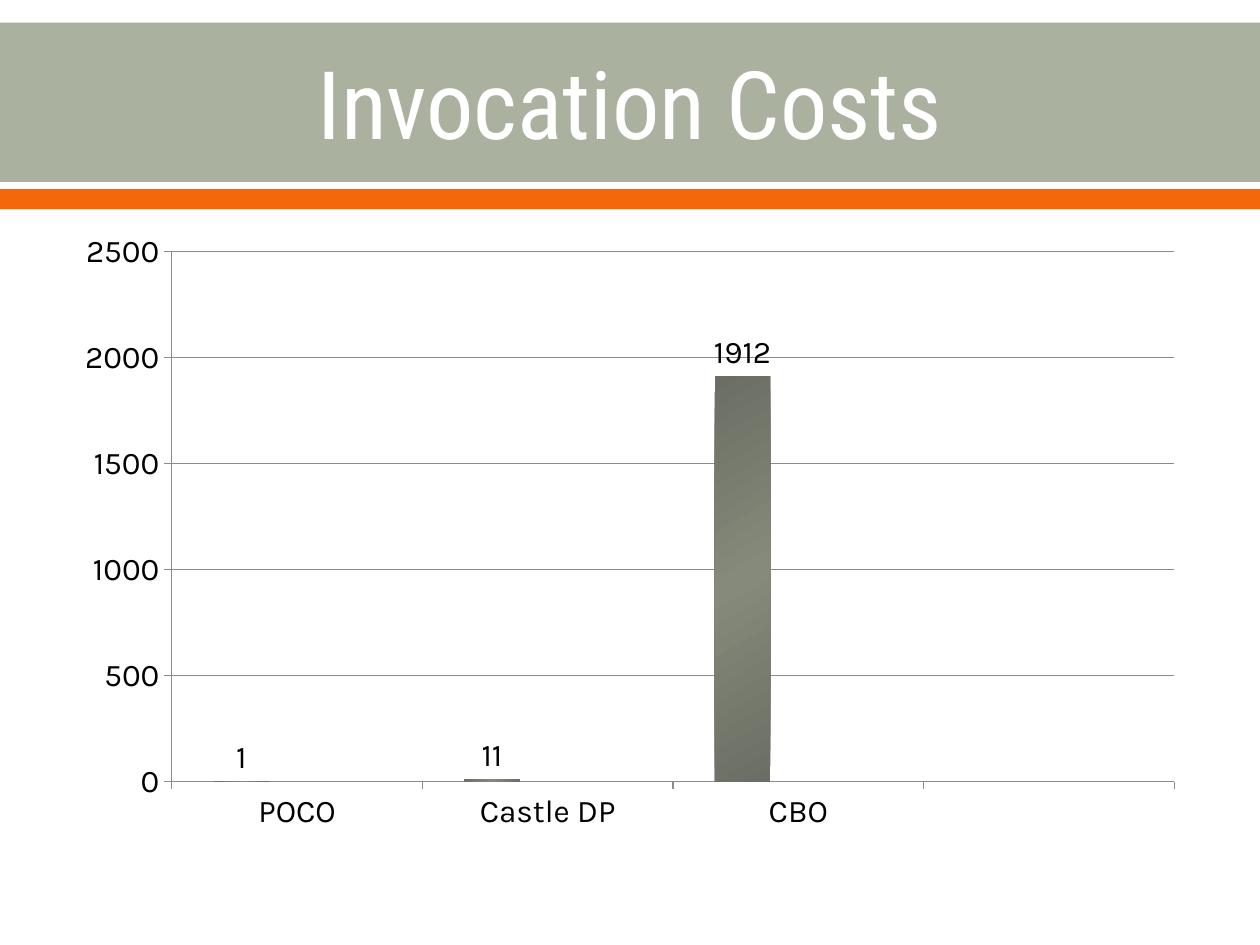
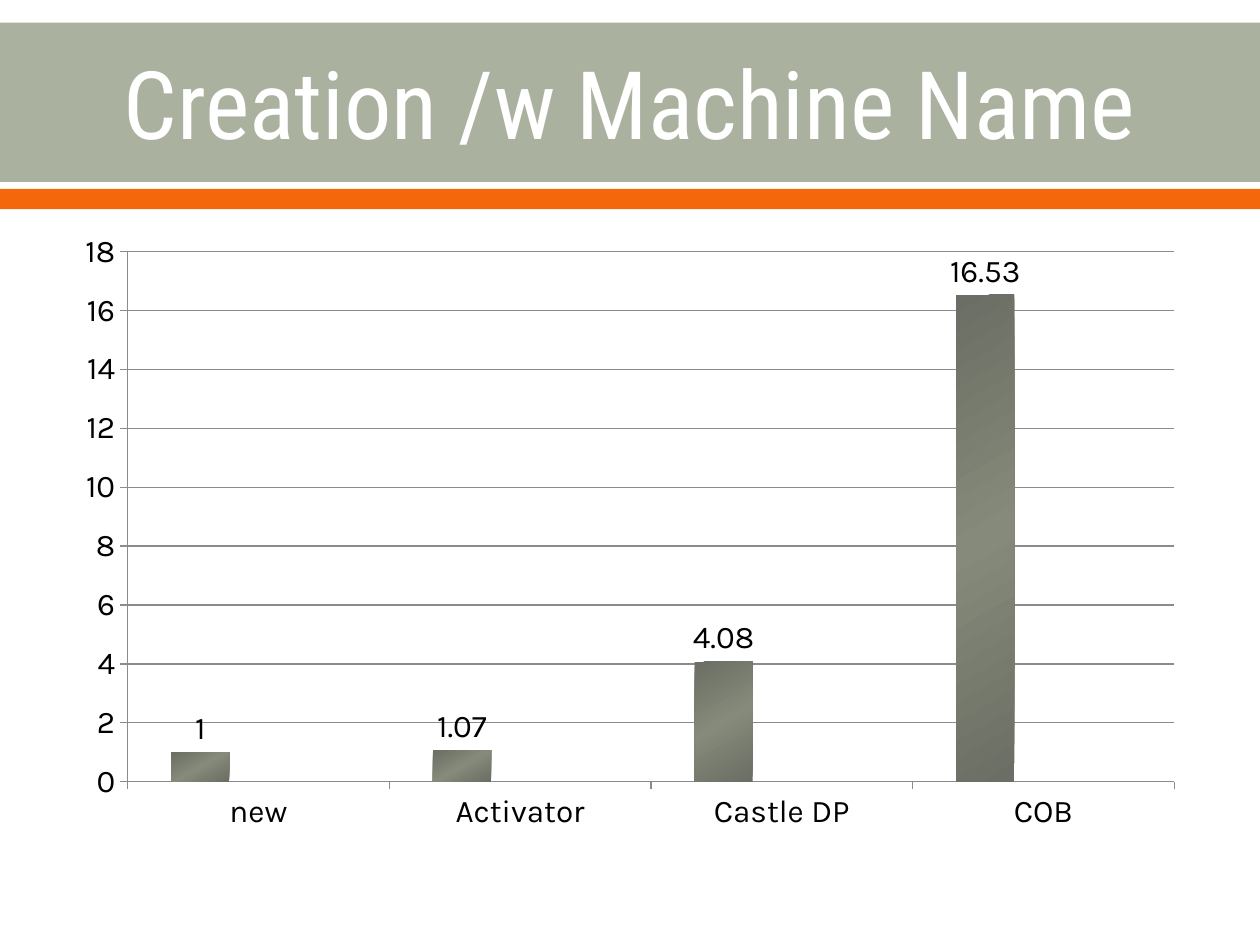
from pptx import Presentation
from pptx.chart.data import CategoryChartData
from pptx.dml.color import RGBColor
from pptx.enum.chart import XL_CHART_TYPE, XL_LABEL_POSITION, XL_TICK_MARK
from pptx.enum.shapes import MSO_SHAPE
from pptx.enum.text import MSO_ANCHOR, PP_ALIGN
from pptx.oxml import parse_xml
from pptx.oxml.ns import nsdecls
from pptx.util import Pt

WHITE, BLACK, GREY = "FFFFFF", "000000", "8B8B8B"
SAGE, ORANGE, TAN = "ABB19F", "F4680B", "948774"
BAR_EDGE, BAR_MIDDLE = "6A6E64", "868A7A"
PLOT_TOP, PLOT_HEIGHT, PLOT_RIGHT = 0.05, 0.85, 0.98


def rgb(color):
    return RGBColor.from_string(color)


def format_font(font, name="Karla", size=18, color=BLACK):
    font.name = name
    font.size = Pt(size)
    font.bold = False
    font.color.rgb = rgb(color)


def bar_gradient():
    stops = "".join(
        f'<a:gs pos="{pos}"><a:srgbClr val="{color}"/></a:gs>'
        for pos, color in ((0, BAR_EDGE), (50000, BAR_MIDDLE), (100000, BAR_EDGE)))
    return parse_xml(f'<a:gradFill {nsdecls("a")} rotWithShape="1"><a:gsLst>{stops}</a:gsLst>'
                     '<a:lin ang="3600000" scaled="0"/></a:gradFill>')


def plot_layout(left):
    values = {"x": left, "y": PLOT_TOP, "w": PLOT_RIGHT - left, "h": PLOT_HEIGHT}
    sizes = "".join(f'<c:{key} val="{value:.3f}"/>' for key, value in values.items())
    return parse_xml(f'<c:layout {nsdecls("c")}><c:manualLayout>'
                     '<c:layoutTarget val="inner"/><c:xMode val="edge"/><c:yMode val="edge"/>'
                     f'{sizes}</c:manualLayout></c:layout>')


class Deck:
    def __init__(self):
        self.prs = Presentation()
        self.prs.slide_width, self.prs.slide_height = Pt(720), Pt(540)
        self.s = None

    def slide(self, title):
        self.s = self.prs.slides.add_slide(self.prs.slide_layouts[6])
        self.band(13, 91, SAGE)
        self.band(108, 11.5, ORANGE)
        self.title(title)

    def band(self, top, height, color):
        sp = self.s.shapes.add_shape(MSO_SHAPE.RECTANGLE, 0, Pt(top),
                                     self.prs.slide_width, Pt(height))
        sp.shadow.inherit = False
        sp.fill.solid()
        sp.fill.fore_color.rgb = rgb(color)
        sp.line.fill.background()

    def title(self, text):
        tf = self.s.shapes.add_textbox(Pt(36), Pt(14.4), Pt(648), Pt(88)).text_frame
        tf.word_wrap = True
        tf.vertical_anchor = MSO_ANCHOR.MIDDLE
        p = tf.paragraphs[0]
        p.alignment = PP_ALIGN.CENTER
        r = p.add_run()
        r.text = text
        format_font(r.font, name="Roboto Condensed", size=54, color=WHITE)

    def column_chart(self, categories, values, top_value, step, plot_left):
        data = CategoryChartData()
        data.categories = categories
        empty = [None] * len(categories)
        for number, series_values in enumerate((values, empty, empty), 1):
            data.add_series(f"Series {number}", series_values)
        chart = self.s.shapes.add_chart(XL_CHART_TYPE.COLUMN_CLUSTERED, Pt(36), Pt(126),
                                        Pt(648), Pt(356.4), data).chart
        chart.has_legend = False
        chart.has_title = False
        format_font(chart.font)
        self.axes(chart, top_value, step)
        self.bars(chart)
        area = chart.element.xpath("c:chart/c:plotArea")[0]
        for old in area.xpath("c:layout"):
            area.remove(old)
        area.insert(0, plot_layout(plot_left))

    def axes(self, chart, top_value, step):
        value_axis = chart.value_axis
        value_axis.minimum_scale, value_axis.maximum_scale = 0, top_value
        value_axis.major_unit = step
        value_axis.has_major_gridlines = True
        for axis in (chart.category_axis, value_axis):
            axis.major_tick_mark = XL_TICK_MARK.OUTSIDE
            axis.minor_tick_mark = XL_TICK_MARK.NONE
        for part in (chart.category_axis, value_axis, value_axis.major_gridlines):
            part.format.line.color.rgb = rgb(GREY)
            part.format.line.width = Pt(0.75)

    def bars(self, chart):
        plot = chart.plots[0]
        plot.gap_width = 150
        plot.overlap = 0
        plot.vary_by_categories = False
        for series, color in zip(plot.series, (None, SAGE, TAN)):
            series.invert_if_negative = False
            series.format.line.fill.background()
            if color:
                series.format.fill.solid()
                series.format.fill.fore_color.rgb = rgb(color)
            labels = series.data_labels
            labels.show_value = True
            labels.position = XL_LABEL_POSITION.OUTSIDE_END
            format_font(labels.font)
        chart.element.xpath(".//c:ser/c:spPr")[0].insert(0, bar_gradient())


def main():
    deck = Deck()
    deck.slide("Invocation Costs")
    deck.column_chart(["POCO", "Castle DP", "CBO", ""], [1, 11, 1912, None],
                      top_value=2500, step=500, plot_left=0.096)
    deck.slide("Creation /w Machine Name")
    deck.column_chart(["new", "Activator", "Castle DP", "COB"], [1, 1.07, 4.08, 16.53],
                      top_value=18, step=2, plot_left=0.057)
    deck.prs.save("out.pptx")


if __name__ == "__main__":
    main()
